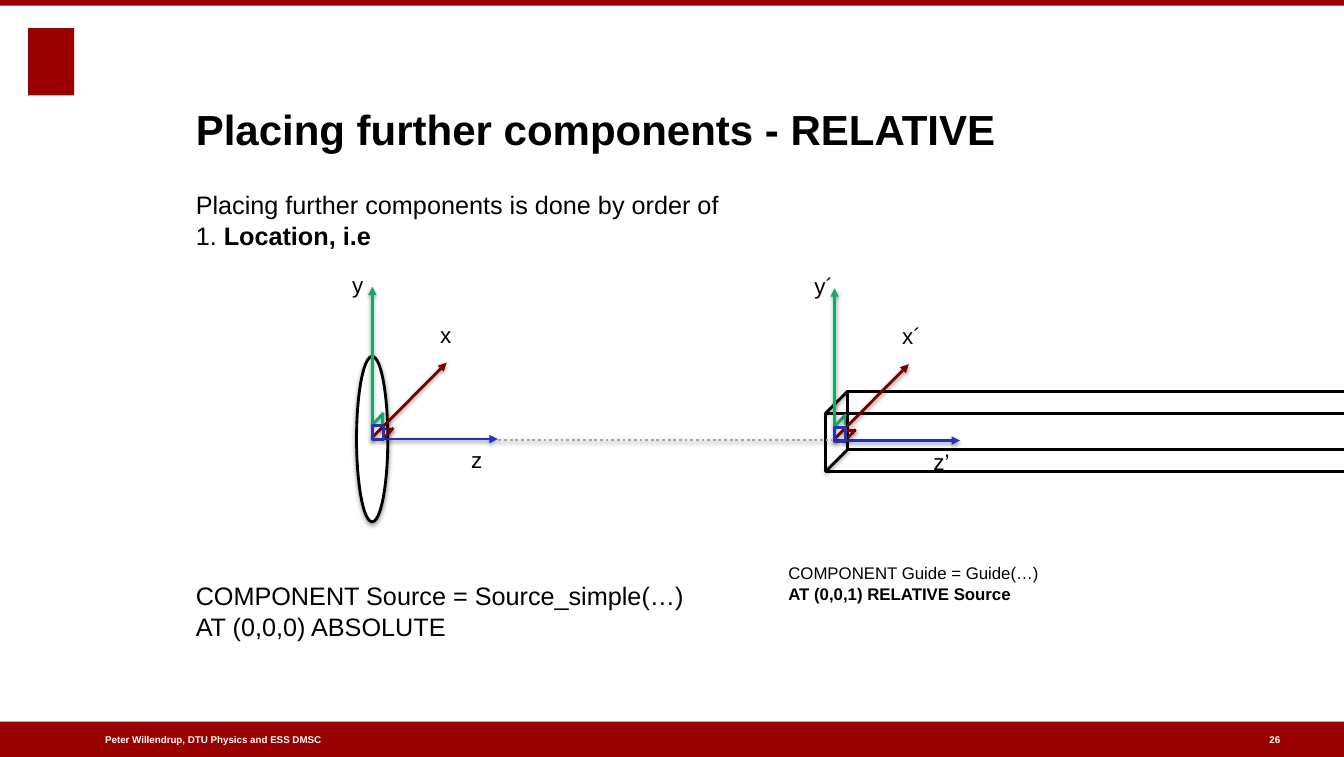
from lxml import etree
from pptx import Presentation
from pptx.dml.color import RGBColor
from pptx.enum import dml, shapes, text
from pptx.oxml import ns
from pptx.util import Pt

WIDTH, HEIGHT = 959, 540
RED, DARK_RED, GREEN, BLUE = "990000", "7A0000", "19A668", "2632BB"
BLACK, WHITE, GREY = "000000", "FFFFFF", "A7A7A7"
BAR_TOP = 514.8


def rgb(value):
    return RGBColor.from_string(value)


def add_child(parent, tag, **attrs):
    return etree.SubElement(parent, ns.qn(tag), attrs)


def add_outer_shadow(effects):
    shadow = add_child(effects, "a:outerShdw", blurRad=str(Pt(3)), dist=str(Pt(1.6)),
                       dir="5400000", rotWithShape="0")
    add_child(add_child(shadow, "a:srgbClr", val=BLACK), "a:alpha", val="38000")


class SlideBuilder:
    """Holds the text style and the slide being filled."""

    font = "Arial"
    frame = {"margin_left": 0, "margin_top": 0, "margin_right": 0, "margin_bottom": 0,
             "word_wrap": True, "auto_size": text.MSO_AUTO_SIZE.NONE}

    def __init__(self, prs):
        self.s = prs.slides.add_slide(prs.slide_layouts[1])

    def fill_text(self, sp, paragraphs, size, color=BLACK, anchor=text.MSO_ANCHOR.TOP,
                  spacing=1.0):
        """Fill a shape; each paragraph is (space before, [(text, bold), ...])."""
        tf = sp.text_frame
        for name, value in {**self.frame, "vertical_anchor": anchor}.items():
            setattr(tf, name, value)
        for i, (before, runs) in enumerate(paragraphs):
            p = tf.paragraphs[0] if i == 0 else tf.add_paragraph()
            layout = {"alignment": text.PP_ALIGN.LEFT, "space_before": Pt(before),
                      "space_after": Pt(0), "line_spacing": spacing}
            for name, value in layout.items():
                setattr(p, name, value)
            for words, bold in runs:
                r = p.add_run()
                r.text = words
                for name, value in {"name": self.font, "size": Pt(size), "bold": bold}.items():
                    setattr(r.font, name, value)
                r.font.color.rgb = rgb(color)
        return tf

    def placeholder(self, index, box, paragraphs, size, **style):
        sp = self.s.placeholders[index]
        for name, value in zip(("left", "top", "width", "height"), box):
            setattr(sp, name, Pt(value))
        return self.fill_text(sp, paragraphs, size, **style)

    def title(self, box, words):
        self.placeholder(0, box, [(0, [(words, True)])], 30, anchor=text.MSO_ANCHOR.BOTTOM)

    def body(self, box, paragraphs, size):
        tf = self.placeholder(1, box, paragraphs, size, spacing=1.03)
        for p in tf.paragraphs:
            props = p._p.get_or_add_pPr()
            props.set("marL", "0")
            props.set("indent", "0")
            add_child(props, "a:buNone")

    def label(self, box, paragraphs, size, **style):
        self.fill_text(self.s.shapes.add_textbox(*map(Pt, box)), paragraphs, size, **style)

    def shape(self, box, fill=None, line=None, kind=shapes.MSO_SHAPE.RECTANGLE, shadow=False):
        sp = self.s.shapes.add_shape(kind, *map(Pt, box))
        if fill:
            sp.fill.solid()
            sp.fill.fore_color.rgb = rgb(fill)
        else:
            sp.fill.background()
        if line:
            sp.line.color.rgb = rgb(line)
            sp.line.width = Pt(2)
        else:
            sp.line.fill.background()
        sp.shadow.inherit = False
        if shadow:
            add_outer_shadow(sp._element.spPr.find(ns.qn("a:effectLst")))

    def line(self, start, end, color, arrow=False, dash=None):
        cn = self.s.shapes.add_connector(shapes.MSO_CONNECTOR.STRAIGHT, *map(Pt, start + end))
        cn.line.color.rgb = rgb(color)
        cn.line.width = Pt(2)
        if dash:
            cn.line.dash_style = dash
        props = cn._element.spPr
        if arrow:
            add_child(props.find(ns.qn("a:ln")), "a:tailEnd", type="triangle")
        add_outer_shadow(add_child(props, "a:effectLst"))

    def axes(self, x, y, names):
        """Draw a coordinate system with its origin at x, y; names are for x, y and z."""
        strokes = [
            ((0, 1), (0, -108.7), GREEN, True),
            ((0, 0), (89.5, 0), BLUE, True),
            ((-0.5, -0.7), (53, -54.5), DARK_RED, True),
            ((5, -7.2), (15, -7.2), DARK_RED, False),
            ((7.2, 0.7), (15, -8), DARK_RED, False),
            ((0, -10), (8, -18.7), GREEN, False),
            ((7.5, -10.8), (7.5, -18.7), GREEN, False),
        ]
        for (x1, y1), (x2, y2), color, arrow in strokes:
            self.line((x + x1, y + y1), (x + x2, y + y2), color, arrow)
        self.shape((x, y - 9.5, 8, 10), line=BLUE)
        for name, (dx, dy) in zip(names, ((48.3, -84.3), (-14.4, -120), (70.5, 5))):
            self.label((x + dx, y + dy, 20, 18), [(0, [(name, False)])], 16)

    def guide_box(self, left, top, width, height, depth):
        """Draw a long open box running off to the right."""
        self.shape((left + depth, top - depth, width, height), fill=WHITE, line=BLACK)
        self.shape((left, top, width, height), line=BLACK)
        for y in (top, top + height):
            self.line((left, y), (left + depth, y - depth), BLACK)


def main():
    prs = Presentation()
    prs.slide_width, prs.slide_height = Pt(WIDTH), Pt(HEIGHT)
    slide = SlideBuilder(prs)

    slide.shape((20, 20, 33, 48), fill=RED)
    slide.shape((0, BAR_TOP, WIDTH, HEIGHT - BAR_TOP), fill=RED)
    slide.shape((0, 0, WIDTH, 4), fill=RED)
    footers = (((75, 522.7, 268, 10), "Peter Willendrup, DTU Physics and ESS DMSC"),
               ((905.8, 522.7, 14, 10), "26"))
    for box, words in footers:
        slide.label(box, [(0, [(words, True)])], 7, color=WHITE, anchor=text.MSO_ANCHOR.MIDDLE)

    slide.title((139.7, 33.8, 733, 76.3), "Placing further components - RELATIVE")
    slide.body((139.7, 134.6, 733, 358), [
        (0, [("Placing further components is done by order of", False)]),
        (0, [("1. ", False), ("Location, i.e", True)]),
        (234, [("COMPONENT Source = Source_simple(…)", False)]),
        (0, [("AT (0,0,0) ABSOLUTE", False)]),
    ], 18)

    slide.shape((254.4, 254.2, 22.3, 118), fill=WHITE, line=BLACK,
                kind=shapes.MSO_SHAPE.OVAL, shadow=True)
    slide.axes(265.7, 313.2, ("x", "y", "z"))
    slide.guide_box(589, 295, 448, 41.5, 16)
    slide.axes(595.5, 314.3, ("x´", "y´", "z’"))
    slide.line((355.7, 313.9), (594, 313.9), GREY, dash=dml.MSO_LINE.ROUND_DOT)
    slide.label((562.5, 401, 190, 28), [
        (0, [("COMPONENT Guide = Guide(…)", False)]),
        (0, [("AT (0,0,1) RELATIVE Source", True)]),
    ], 12, spacing=1.03)

    prs.save("out.pptx")


if __name__ == "__main__":
    main()
